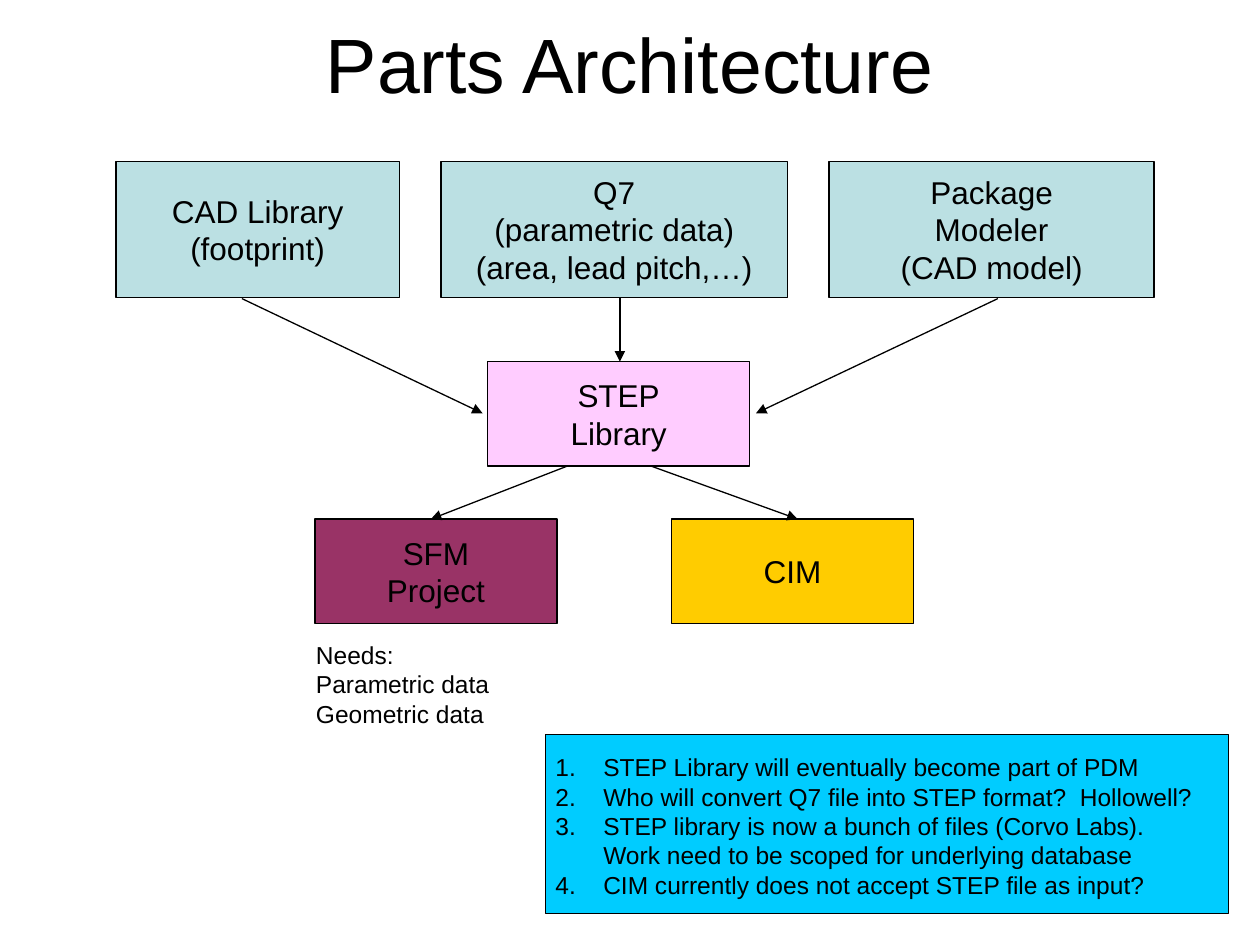
from lxml.etree import SubElement
from pptx import Presentation
from pptx.dml.color import RGBColor
from pptx.enum.shapes import MSO_CONNECTOR, MSO_SHAPE
from pptx.enum.text import MSO_ANCHOR, PP_ALIGN
from pptx.oxml.ns import qn
from pptx.util import Inches, Pt


def color(text):
    return RGBColor.from_string(text)


def write(frame, lines, size=18, align=PP_ALIGN.CENTER, anchor=MSO_ANCHOR.MIDDLE,
          wrap=False, ink="000000", face="Arial"):
    frame.word_wrap = wrap
    frame.vertical_anchor = anchor
    for i, line in enumerate(lines):
        para = frame.paragraphs[0] if i == 0 else frame.add_paragraph()
        para.alignment = align
        run = para.add_run()
        run.text = line
        run.font.size = Pt(size)
        run.font.name = face
        run.font.color.rgb = color(ink)


class Board:
    """Holds the style and the current slide."""

    ink = "000000"
    width = Pt(0.75)
    indent = Inches(0.38)

    def __init__(self, slide):
        self.shapes = slide.shapes

    def box(self, left, top, width, height, fill, lines=()):
        shape = self.shapes.add_shape(MSO_SHAPE.RECTANGLE, Inches(left), Inches(top),
                                      Inches(width), Inches(height))
        shape.shadow.inherit = False
        shape.fill.solid()
        shape.fill.fore_color.rgb = color(fill)
        shape.line.color.rgb = color(self.ink)
        shape.line.width = self.width
        write(shape.text_frame, lines, ink=self.ink)

    def label(self, left, top, width, height, lines, **style):
        shape = self.shapes.add_textbox(Inches(left), Inches(top),
                                        Inches(width), Inches(height))
        write(shape.text_frame, lines, ink=self.ink, **style)
        return shape.text_frame

    def steps(self, left, top, width, height, items, **style):
        frame = self.label(left, top, width, height, [text for text, _ in items], **style)
        last = 0
        gap = False
        for para, (_, number) in zip(frame.paragraphs, items):
            props = para._p.get_or_add_pPr()
            props.set("marL", str(self.indent))
            props.set("indent", str(-self.indent if number else 0))
            if number:
                mark = SubElement(props, qn("a:buAutoNum"), type="arabicPeriod")
                if gap:
                    mark.set("startAt", str(last + 1))
                last += 1
            gap = not number

    def arrow(self, start, end):
        line = self.shapes.add_connector(MSO_CONNECTOR.STRAIGHT,
                                         *(Inches(n) for n in start + end))
        line.line.color.rgb = color(self.ink)
        line.line.width = self.width
        SubElement(line.line._get_or_add_ln(), qn("a:tailEnd"), type="triangle")
        SubElement(line._element.spPr, qn("a:effectLst"))


def main():
    deck = Presentation()
    deck.slide_width, deck.slide_height = Inches(10), Inches(7.5)
    board = Board(deck.slides.add_slide(deck.slide_layouts[6]))

    board.label(0.5, 0, 9, 1, ["Parts Architecture"], size=44, wrap=True)

    for left, width, lines in [
        (0.92, 2.25, ["CAD Library", "(footprint)"]),
        (3.5, 2.75, ["Q7", "(parametric data)", "(area, lead pitch,…)"]),
        (6.58, 2.58, ["Package", "Modeler", "(CAD model)"]),
    ]:
        board.box(left, 1.28, width, 1.08, "BBE0E3", lines)

    for left, top, width, fill, lines in [
        (3.87, 2.87, 2.08, "FFCCFF", ["STEP", "Library"]),
        (5.33, 4.12, 1.92, "FFCC00", ["CIM"]),
        (2.5, 4.12, 1.92, "993366", ["SFM", "Project"]),
    ]:
        board.box(left, top, width, 0.83, fill, lines)

    for start, end in [
        ((1.92, 2.37), (3.83, 3.28)),
        ((4.92, 2.36), (4.92, 2.87)),
        ((7.92, 2.37), (6, 3.28)),
        ((4.5, 3.7), (3.42, 4.12)),
        ((5.17, 3.7), (6.33, 4.12)),
    ]:
        board.arrow(start, end)

    note = dict(size=14, align=PP_ALIGN.LEFT, anchor=MSO_ANCHOR.TOP)
    board.label(2.41, 5.03, 1.6, 0.8,
                ["Needs:", "Parametric data", "Geometric data"], wrap=True, **note)
    board.box(4.33, 5.83, 5.42, 1.42, "00CCFF")
    board.steps(4.31, 5.92, 5.63, 1.27, [
        ("STEP Library will eventually become part of PDM", True),
        ("Who will convert Q7 file into STEP format?  Hollowell?", True),
        ("STEP library is now a bunch of files (Corvo Labs).", True),
        ("Work need to be scoped for underlying database", False),
        ("CIM currently does not accept STEP file as input?", True),
    ], **note)

    deck.save("out.pptx")


if __name__ == "__main__":
    main()
